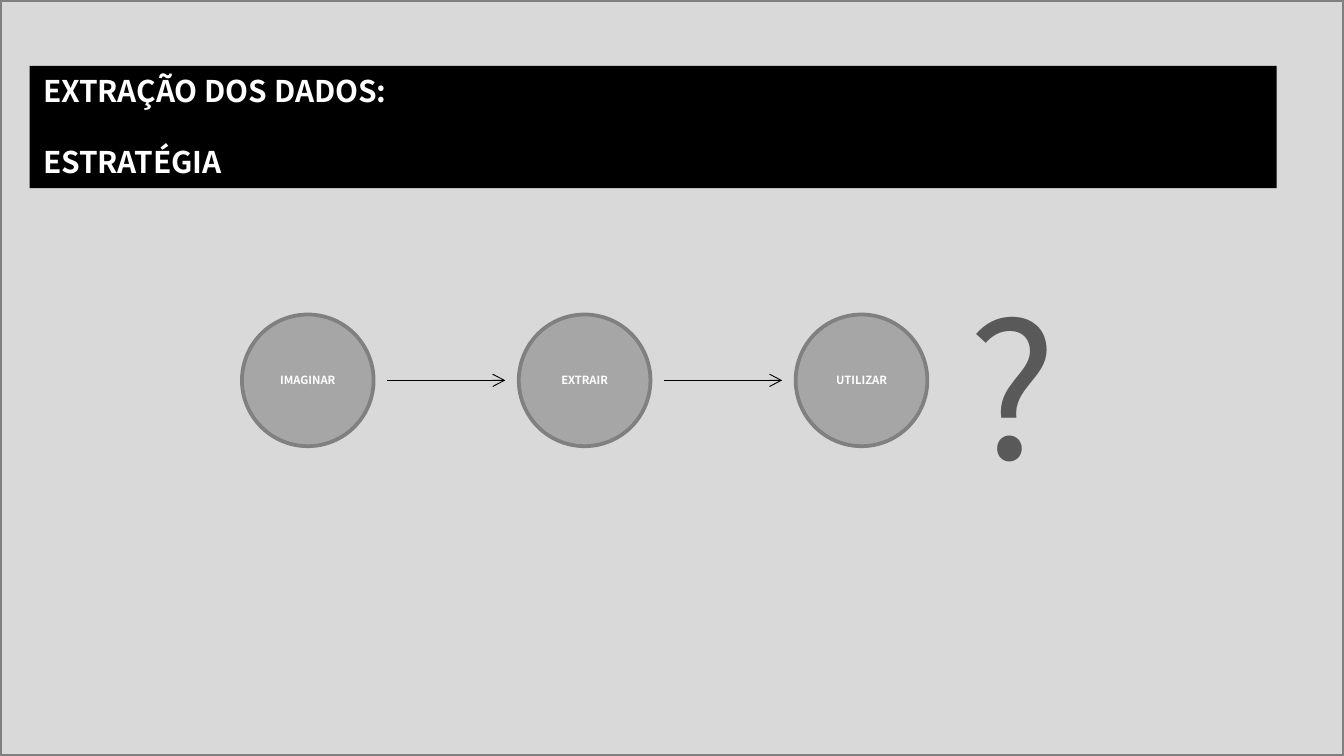
from lxml import etree
from pptx import Presentation
from pptx.dml.color import RGBColor
from pptx.enum.shapes import MSO_CONNECTOR as Connector, MSO_SHAPE as Shape
from pptx.enum.text import MSO_ANCHOR as Anchor, MSO_AUTO_SIZE as AutoSize, PP_ALIGN as Align
from pptx.oxml.ns import qn
from pptx.util import Inches, Pt

COLORS = {
    "background": "D9D9D9",
    "outline": "808080",
    "circle": "A6A6A6",
    "black": "000000",
    "white": "FFFFFF",
    "question": "595959",
}
FONT = "Noto Sans CJK JP"
SLIDE_WIDTH = 10
SLIDE_HEIGHT = SLIDE_WIDTH * 9 / 16
STEPS = ["IMAGINAR", "EXTRAIR", "UTILIZAR"]
STEP_LEFT, STEP_TOP, STEP_SIZE, STEP_PITCH = 1.8, 2.34, 0.98, 2.06
ARROW_GAP = 0.1


def color(name):
    """Return the named colour."""
    return RGBColor.from_string(COLORS[name])


def write_text(shape, *lines, size, fill="white", bold=False, align=Align.LEFT,
               anchor=Anchor.TOP, gap=0):
    """Write one paragraph per line, with a gap in points between them."""
    frame = shape.text_frame
    frame.auto_size = AutoSize.NONE
    frame.word_wrap = True
    frame.vertical_anchor = anchor
    for index, line in enumerate(lines):
        paragraph = frame.add_paragraph() if index else frame.paragraphs[0]
        paragraph.alignment = align
        paragraph.space_before = Pt(gap if index else 0)
        run = paragraph.add_run()
        run.text = line
        run.font.name = FONT
        run.font.size = Pt(size)
        run.font.bold = bold
        run.font.color.rgb = color(fill)


def add_outlined(slide, kind, left, top, width, height, fill):
    """Add a filled preset shape with the grey outline."""
    shape = slide.shapes.add_shape(kind, Inches(left), Inches(top), Inches(width), Inches(height))
    shape.shadow.inherit = False
    shape.fill.solid()
    shape.fill.fore_color.rgb = color(fill)
    shape.line.color.rgb = color("outline")
    shape.line.width = Pt(2)
    return shape


def add_arrow(slide, start, end, y):
    """Add a thin horizontal arrow."""
    arrow = slide.shapes.add_connector(
        Connector.STRAIGHT, Inches(start), Inches(y), Inches(end), Inches(y))
    arrow.line.color.rgb = color("black")
    arrow.line.width = Pt(0.5)
    properties = arrow.element.spPr
    etree.SubElement(properties.find(qn("a:ln")), qn("a:tailEnd"), type="arrow")
    etree.SubElement(properties, qn("a:effectLst"))


def add_title(slide):
    """Format the title placeholder as a black banner."""
    title = slide.shapes.title
    title.left, title.top = Inches(0.22), Inches(0.49)
    title.width, title.height = Inches(9.28), Inches(0.91)
    title.fill.solid()
    title.fill.fore_color.rgb = color("black")
    write_text(title, "EXTRAÇÃO DOS DADOS:", "ESTRATÉGIA", size=16, bold=True, gap=19)
    return title


def add_steps(slide):
    """Add the row of circles with arrows between them."""
    for index, label in enumerate(STEPS):
        left = STEP_LEFT + index * STEP_PITCH
        circle = add_outlined(slide, Shape.OVAL, left, STEP_TOP, STEP_SIZE, STEP_SIZE, "circle")
        write_text(circle, label, size=6, bold=True, align=Align.CENTER, anchor=Anchor.MIDDLE)
        if index < len(STEPS) - 1:
            add_arrow(slide, left + STEP_SIZE + ARROW_GAP, left + STEP_PITCH - ARROW_GAP,
                      STEP_TOP + STEP_SIZE / 2)


def add_question_mark(slide):
    """Add the large question mark after the last step."""
    box = slide.shapes.add_textbox(Inches(7.11), Inches(1.98), Inches(1.08), Inches(1.78))
    write_text(box, "?", size=100, fill="question")


def main():
    """Build and save the slide."""
    presentation = Presentation()
    presentation.slide_width = Inches(SLIDE_WIDTH)
    presentation.slide_height = Inches(SLIDE_HEIGHT)
    slide = presentation.slides.add_slide(presentation.slide_layouts[5])
    backdrop = add_outlined(slide, Shape.RECTANGLE, 0, 0, SLIDE_WIDTH, SLIDE_HEIGHT, "background")
    title = add_title(slide)
    title.element.addprevious(backdrop.element)
    add_steps(slide)
    add_question_mark(slide)
    presentation.save("out.pptx")


if __name__ == "__main__":
    main()
